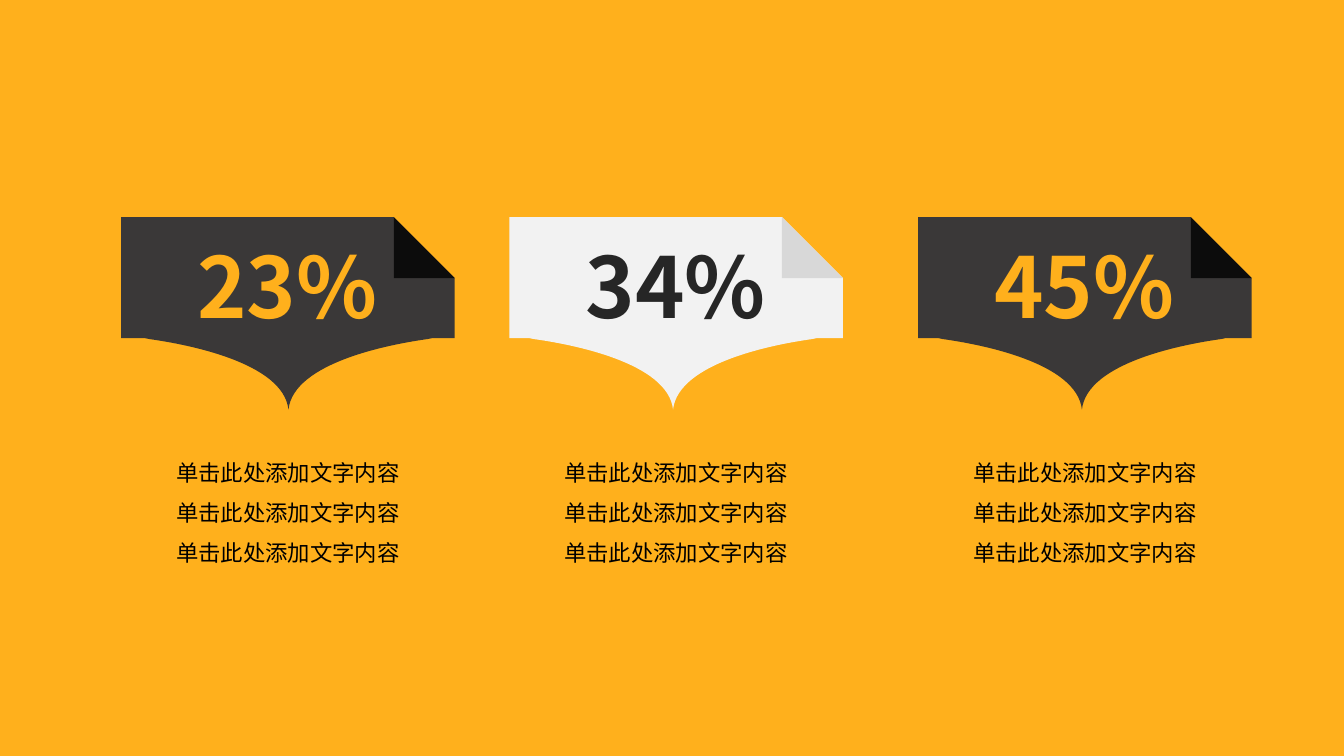
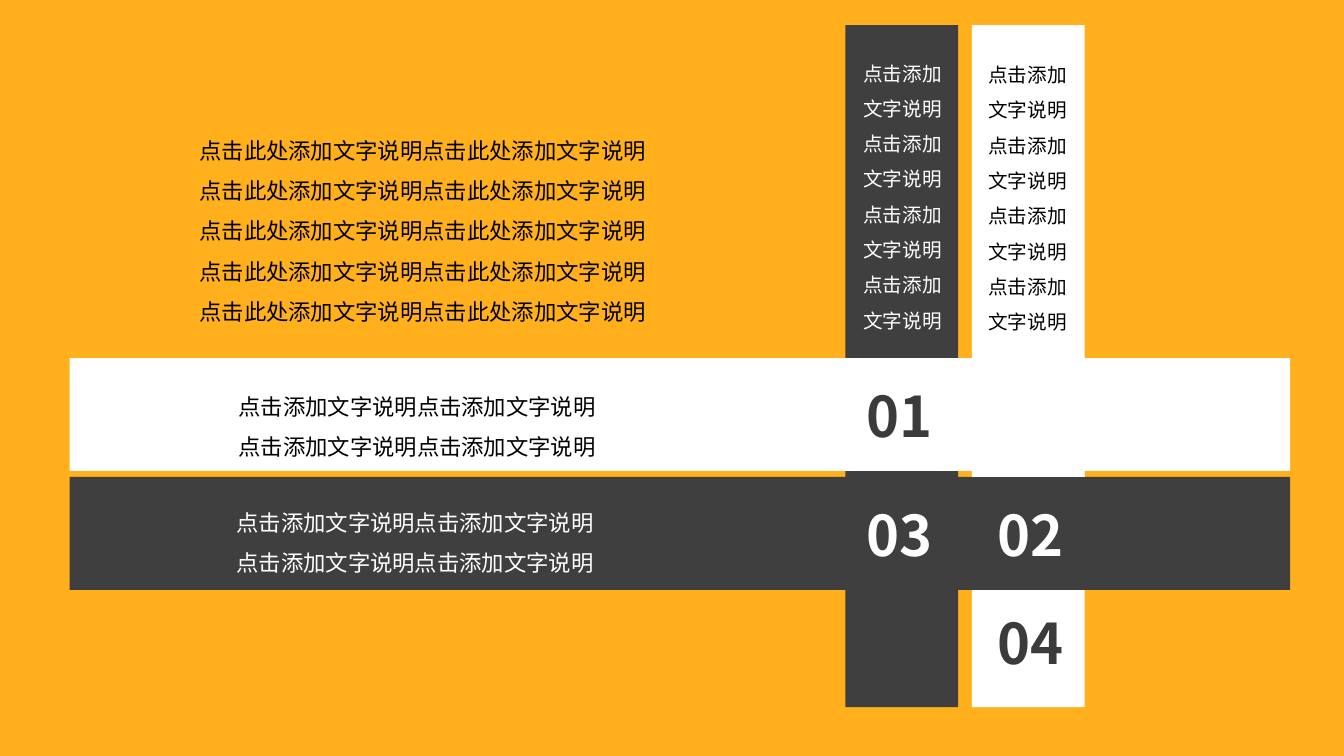
"""Build two slides: three percentage banners, and a lattice of crossing bands."""
from dataclasses import dataclass

from lxml.etree import SubElement
from pptx import Presentation
from pptx.dml.color import RGBColor
from pptx.enum.shapes import MSO_SHAPE
from pptx.enum.text import MSO_AUTO_SIZE, PP_ALIGN
from pptx.oxml.ns import qn
from pptx.util import Inches, Pt

CELL = Inches(0.1)
COLS, ROWS = 133.35, 75

COLORS = {
    "amber": "FFB01C",
    "white": "FFFFFF",
    "black": "000000",
    "charcoal": "3A3838",
    "ink": "0C0C0C",
    "mist": "F2F2F2",
    "silver": "D8D8D8",
    "graphite": "262626",
    "slate": "3F3F3F",
    "number": "3B3B3B",
}
SANS = "Noto Sans CJK SC"
KARLA = "Karla"

BANNER_W, BANNER_H, BANNER_TOP = 33.1, 12, 21.54
FOLD = 6.05
TIP_DROP = 19.1
CURVE_STARTS = (5, 8)

BAND = 11.2
BAND_COLS = (83.87, 96.42)
BAND_ROWS = (35.52, 47.32)
TOP, HEIGHT = 2.5, 67.65
LEFT, WIDTH = 6.9, 121.1


@dataclass(frozen=True)
class Banner:
    left: float
    tip: float
    value: str
    fill: str
    fold: str
    color: str


@dataclass(frozen=True)
class Band:
    left: float
    top: float
    width: float
    height: float
    fill: str


@dataclass(frozen=True)
class Label:
    left: float
    top: float
    width: float
    height: float
    line: str
    count: int
    color: str
    size: int = 16
    font: str = KARLA
    align: PP_ALIGN = PP_ALIGN.CENTER


@dataclass(frozen=True)
class Number:
    col: int
    top: float
    text: str
    color: str


BANNERS = (
    Banner(12.02, 16.6, "23%", "charcoal", "ink", "amber"),
    Banner(50.53, 16.25, "34%", "mist", "silver", "graphite"),
    Banner(91.1, 16.25, "45%", "charcoal", "ink", "amber"),
)
BANDS = (
    Band(BAND_COLS[1], 46.7, BAND, TOP + HEIGHT - 46.7, "white"),
    Band(LEFT, BAND_ROWS[1], WIDTH, BAND, "slate"),
    Band(BAND_COLS[0], TOP, BAND, HEIGHT, "slate"),
    Band(LEFT, BAND_ROWS[0], WIDTH, BAND, "white"),
    Band(BAND_COLS[1], TOP, BAND, BAND_ROWS[1] - TOP, "white"),
)
SHORT = "点击添加文字说明"
LABELS = (
    Label(21.3, 37.15, 40.2, 9, SHORT * 2, 2, "black"),
    Label(21.1, 48.7, 40.2, 9, SHORT * 2, 2, "white"),
    Label(84.3, 4.45, 10.5, 29, SHORT, 4, "white", size=14),
    Label(96.75, 4.6, 10.4, 29, SHORT, 4, "black", size=14),
    Label(18.8, 11.75, 47.1, 21, "点击此处添加文字说明" * 2, 5, "black",
          font=SANS, align=PP_ALIGN.LEFT),
)
NUMBERS = (
    Number(0, 37.4, "01", "number"),
    Number(1, 49.15, "02", "white"),
    Number(1, 59.9, "04", "number"),
    Number(0, 49.15, "03", "white"),
)


def grid(*cells: float) -> list[int]:
    """Turn grid columns and rows into slide units."""
    return [round(c * CELL) for c in cells]


def paint(sp, color: str) -> None:
    """Give a shape a flat fill with no line or shadow."""
    sp.shadow.inherit = False
    sp.fill.solid()
    sp.fill.fore_color.rgb = RGBColor.from_string(COLORS[color])
    sp.line.fill.background()


def add_rect(slide, left: float, top: float, width: float, height: float,
             color: str) -> None:
    """Add a flat rectangle."""
    paint(slide.shapes.add_shape(MSO_SHAPE.RECTANGLE,
                                 *grid(left, top, width, height)), color)


def add_text(slide, lines: list[str], left: float, top: float, width: float,
             height: float, *, size: int, color: str, font: str = SANS,
             bold: bool = False, align: PP_ALIGN = PP_ALIGN.CENTER,
             spacing: float = 1.0) -> None:
    """Add a text box with one paragraph per line."""
    tf = slide.shapes.add_textbox(*grid(left, top, width, height)).text_frame
    tf.word_wrap = True
    tf.auto_size = MSO_AUTO_SIZE.SHAPE_TO_FIT_TEXT
    for i, line in enumerate(lines):
        p = tf.add_paragraph() if i else tf.paragraphs[0]
        p.alignment = align
        p.line_spacing = spacing
        r = p.add_run()
        r.text = line
        r.font.size = Pt(size)
        r.font.bold = bold
        r.font.color.rgb = RGBColor.from_string(COLORS[color])
        r.font.name = font
        SubElement(r.font._element, qn("a:ea"), typeface=SANS)


def add_outline(shapes, points: list[tuple[float, float]], color: str,
                curves: tuple[int, ...] = ()) -> None:
    """Draw a closed outline; three segments from each curve index form a Bézier."""
    start, *rest = [tuple(grid(*pt)) for pt in points]
    builder = shapes.build_freeform(*start)
    builder.add_line_segments(rest, close=True)
    sp = builder.convert_to_shape()
    paint(sp, color)
    segments = list(sp._element.iter(qn("a:lnTo")))
    for i in curves:
        curve = SubElement(segments[i].getparent(), qn("a:cubicBezTo"))
        segments[i].addprevious(curve)
        for segment in segments[i:i + 3]:
            curve.append(segment[0])
            segment.getparent().remove(segment)


def add_banner(slide, b: Banner) -> None:
    """Draw a pointed banner with a folded corner."""
    right, bottom = b.left + BANNER_W, BANNER_TOP + BANNER_H
    tip = b.left + b.tip
    fold_x, fold_y = right - FOLD, BANNER_TOP + FOLD
    side = [(14.3, BANNER_H), (13.8, 12.1), (10.2, 12.6), (0.5, 14.4), (0, TIP_DROP)]
    right_side = [(tip + x, BANNER_TOP + y) for x, y in side]
    left_side = [(tip - x, BANNER_TOP + y) for x, y in reversed(side[:-1])]
    shapes = slide.shapes.add_group_shape().shapes
    add_outline(shapes, [(b.left, BANNER_TOP), (fold_x, BANNER_TOP),
                         (right, fold_y), (right, bottom), *right_side,
                         *left_side, (b.left, bottom)], b.fill, CURVE_STARTS)
    add_outline(shapes, [(right, fold_y), (fold_x, BANNER_TOP),
                         (fold_x, fold_y)], b.fold)


def build_banners(slide) -> None:
    """Fill the slide of percentage banners."""
    for b in BANNERS:
        add_banner(slide, b)
    for b in BANNERS:
        add_text(slide, ["单击此处添加文字内容"] * 3, b.left + 2.35, 43.7, 28.4, 13,
                 size=16, color="black", spacing=1.5)
    for b in BANNERS:
        add_text(slide, [b.value], b.left + 5, 22.75, 23, 11,
                 size=60, color=b.color, bold=True)


def build_lattice(slide) -> None:
    """Fill the slide of crossing bands."""
    for band in BANDS:
        add_rect(slide, band.left, band.top, band.width, band.height, band.fill)
    for lb in LABELS:
        add_text(slide, [lb.line] * lb.count, lb.left, lb.top, lb.width, lb.height,
                 size=lb.size, color=lb.color, font=lb.font, align=lb.align,
                 spacing=1.5)
    for n in NUMBERS:
        add_text(slide, [n.text], BAND_COLS[n.col] + (1.15, 1.6)[n.col], n.top, 9.2, 7.7,
                 size=40, color=n.color, bold=True, align=PP_ALIGN.LEFT)


def main() -> None:
    """Build and save the deck."""
    prs = Presentation()
    prs.slide_width, prs.slide_height = grid(COLS, ROWS)
    for build in (build_banners, build_lattice):
        slide = prs.slides.add_slide(prs.slide_layouts[6])
        add_rect(slide, 0, 0, COLS, ROWS, "amber")
        build(slide)
    prs.save("out.pptx")


if __name__ == "__main__":
    main()
